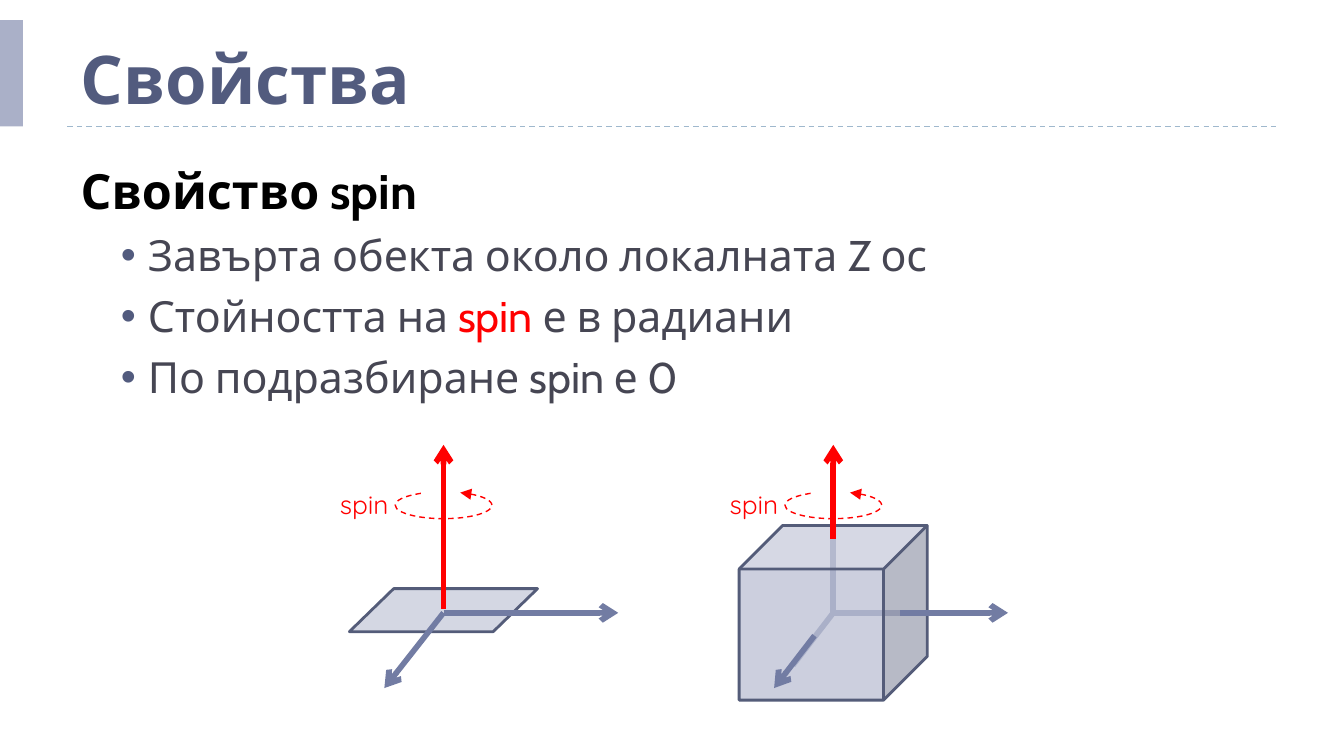
"""Build the slide that explains the spin property with two axis figures."""
from dataclasses import dataclass
from typing import Any, NamedTuple, Optional

import pptx
import pptx.dml.color
import pptx.enum.dml
import pptx.enum.shapes
import pptx.enum.text
import pptx.oxml.ns
import pptx.util
from lxml import etree

Inches = pptx.util.Inches
Shapes = pptx.enum.shapes.MSO_SHAPE
DASH = pptx.enum.dml.MSO_LINE.DASH


@dataclass(frozen=True)
class Theme:
    """Colours, fonts and type sizes of the slide."""

    title: str = "525B7E"
    heading: str = "000000"
    body: str = "464653"
    accent: str = "FF0000"
    axis: str = "727CA3"
    pale: str = "AAB0C8"
    outline: str = "545C79"
    rule: str = "9FB8CD"
    text_font: str = "Cabin"
    label_font: str = "Quicksand"
    title_size: float = 36
    heading_size: float = 26
    body_size: float = 23
    label_size: float = 14
    axis_width: float = 3
    outline_width: float = 1.5
    thin_width: float = 0.75


THEME = Theme()


class Point(NamedTuple):
    """A place on the slide, or an offset, in inches."""

    x: float
    y: float

    def plus(self, other: "Point") -> "Point":
        """Return this point moved by an offset."""
        return Point(self.x + other.x, self.y + other.y)


class Box(NamedTuple):
    """A rectangle in inches."""

    left: float
    top: float
    width: float
    height: float

    def lengths(self) -> list:
        """Return the four values as lengths."""
        return [Inches(value) for value in self]


class Axis(NamedTuple):
    """An arrow given by offsets from the figure's origin."""

    start: Point
    end: Point
    color: str


class Figure(NamedTuple):
    """A solid with hidden axis parts behind it and arrows before it."""

    origin: Point
    kind: Any
    box: Box
    fill: str
    opacity: int
    adjustment: Optional[float]
    hidden: list
    axes: list


class Run(NamedTuple):
    """A piece of body text and its colour."""

    text: str
    color: str = THEME.body


CENTRE = Point(0, 0)
X_END, Y_END, Z_END = Point(1.3, 0), Point(-0.44, 0.56), Point(0, -1.25)

FIGURES = [
    Figure(
        Point(3.3, 4.56), Shapes.PARALLELOGRAM, Box(2.6, 4.38, 1.4, 0.32), THEME.axis, 30, 1.03, [],
        [
            Axis(CENTRE, X_END, THEME.axis),
            Axis(CENTRE, Y_END, THEME.axis),
            Axis(Point(0, -0.03), Z_END, THEME.accent),
        ],
    ),
    Figure(
        Point(6.2, 4.56), Shapes.CUBE, Box(5.5, 3.91, 1.4, 1.3), THEME.pale, 60, None,
        [
            Axis(CENTRE, Point(0, -0.69), THEME.pale),
            Axis(CENTRE, Point(0.5, 0), THEME.pale),
            Axis(Point(-0.3, 0.39), CENTRE, THEME.pale),
        ],
        [
            Axis(Point(0.5, 0), X_END, THEME.axis),
            Axis(Point(-0.14, 0.17), Y_END, THEME.axis),
            Axis(Point(0, -0.55), Z_END, THEME.accent),
        ],
    ),
]

BULLETS = [
    [Run("Завърта обекта около локалната Z ос")],
    [Run("Стойността на "), Run("spin", THEME.accent), Run(" е в радиани")],
    [Run("По подразбиране spin е 0")],
]


def rgb(color: str) -> pptx.dml.color.RGBColor:
    """Turn a hex string into a colour."""
    return pptx.dml.color.RGBColor.from_string(color)


def apply(target: Any, values: dict) -> None:
    """Set each named attribute on the target."""
    for name, value in values.items():
        setattr(target, name, value)


def add_element(parent: Any, tag: str, **attributes: str) -> Any:
    """Append a DrawingML element to a parent."""
    element = etree.SubElement(parent, pptx.oxml.ns.qn(tag))
    for name, value in attributes.items():
        element.set(name, value)
    return element


def set_line(shape: Any, color: str, width: float, dash: Any = None, head: str = "") -> None:
    """Give a shape or connector its line and arrowhead."""
    shape.line.color.rgb = rgb(color)
    apply(shape.line, {"width": pptx.util.Pt(width), "dash_style": dash})
    if head:
        add_element(shape.line._get_or_add_ln(), "a:tailEnd", type=head)


def add_run(paragraph: Any, run: Run, font: str, size: float, bold: bool = False) -> None:
    """Add formatted text to a paragraph."""
    text_run = paragraph.add_run()
    text_run.text = run.text
    apply(text_run.font, {"name": font, "size": pptx.util.Pt(size), "bold": bold})
    text_run.font.color.rgb = rgb(run.color)


def add_line(slide: Any, start: Point, end: Point, color: str, width: float, **style: Any) -> None:
    """Draw a straight connector without a shadow."""
    ends = [Inches(value) for value in (*start, *end)]
    connector = slide.shapes.add_connector(pptx.enum.shapes.MSO_CONNECTOR.STRAIGHT, *ends)
    set_line(connector, color, width, **style)
    add_element(connector._element.spPr, "a:effectLst")


def add_solid(slide: Any, kind: Any, box: Box, fill: str, opacity: int = 100) -> Any:
    """Draw a filled preset shape without a line."""
    shape = slide.shapes.add_shape(kind, *box.lengths())
    shape.shadow.inherit = False
    shape.fill.solid()
    shape.fill.fore_color.rgb = rgb(fill)
    shape.line.fill.background()
    if opacity < 100:
        color = shape._element.spPr.find(".//" + pptx.oxml.ns.qn("a:srgbClr"))
        add_element(color, "a:alpha", val=str(opacity * 1000))
    return shape


def add_spin_mark(slide: Any, origin: Point) -> None:
    """Draw the dashed turning arrow and its label."""
    arc_box = Box(*origin.plus(Point(-0.36, -0.9)), 0.72, 0.2)
    arc = slide.shapes.add_shape(Shapes.ARC, *arc_box.lengths())
    arc.shadow.inherit = False
    arc.fill.background()
    arc.adjustments[0], arc.adjustments[1] = 91.4, 22.23
    arc._element.spPr.xfrm.set("flipV", "1")
    set_line(arc, THEME.accent, THEME.thin_width, DASH, "triangle")
    label_box = Box(*origin.plus(Point(-0.87, -1.01)), 0.9, 0.4)
    frame = slide.shapes.add_textbox(*label_box.lengths()).text_frame
    apply(frame, {"word_wrap": True, "vertical_anchor": pptx.enum.text.MSO_ANCHOR.MIDDLE})
    add_run(frame.paragraphs[0], Run("spin", THEME.accent), THEME.label_font, THEME.label_size)


def add_figure(slide: Any, figure: Figure) -> None:
    """Draw a solid, its axes and its spin mark."""
    def draw(axes: list, head: str) -> None:
        """Draw the axes from the figure's origin."""
        for axis in axes:
            add_line(slide, figure.origin.plus(axis.start), figure.origin.plus(axis.end),
                     axis.color, THEME.axis_width, head=head)

    draw(figure.hidden, "")
    solid = add_solid(slide, figure.kind, figure.box, figure.fill, figure.opacity)
    if figure.adjustment is not None:
        solid.adjustments[0] = figure.adjustment
    set_line(solid, THEME.outline, THEME.outline_width)
    draw(figure.axes, "arrow")
    add_spin_mark(slide, figure.origin)


def place(placeholder: Any, box: Box, anchor: Any) -> Any:
    """Move a placeholder and return its text frame."""
    apply(placeholder, dict(zip(("left", "top", "width", "height"), box.lengths())))
    frame = placeholder.text_frame
    apply(frame, {"auto_size": pptx.enum.text.MSO_AUTO_SIZE.NONE, "word_wrap": True,
                  "vertical_anchor": anchor})
    return frame


def format_paragraph(paragraph: Any, level: int, before: float, margin: float, indent: float) -> Any:
    """Set a body paragraph's level and spacing and return its properties."""
    apply(paragraph, {"level": level, "alignment": pptx.enum.text.PP_ALIGN.LEFT,
                      "space_before": pptx.util.Pt(before)})
    properties = paragraph._p.get_or_add_pPr()
    properties.set("marL", str(Inches(margin)))
    properties.set("indent", str(Inches(indent)))
    return properties


def add_texts(slide: Any) -> None:
    """Fill the title and the bulleted body."""
    anchors = pptx.enum.text.MSO_ANCHOR
    title = place(slide.shapes.title, Box(0.5, 0.12, 9.33, 0.81), anchors.BOTTOM).paragraphs[0]
    title.alignment = pptx.enum.text.PP_ALIGN.LEFT
    add_run(title, Run("Свойства", THEME.title), THEME.text_font, THEME.title_size, True)
    frame = place(slide.placeholders[1], Box(0.5, 1.15, 9.33, 4.42), anchors.TOP)
    heading = frame.paragraphs[0]
    add_element(format_paragraph(heading, 0, 0, 0, 0), "a:buNone")
    add_run(heading, Run("Свойство spin", THEME.heading), THEME.text_font, THEME.heading_size, True)
    for runs in BULLETS:
        paragraph = frame.add_paragraph()
        properties = format_paragraph(paragraph, 1, 5, 0.5, -0.2)
        add_element(add_element(properties, "a:buClr"), "a:srgbClr", val=THEME.title)
        add_element(properties, "a:buChar", char="•")
        for run in runs:
            add_run(paragraph, run, THEME.text_font, THEME.body_size)


def main() -> None:
    """Create and save the presentation."""
    presentation = pptx.Presentation()
    apply(presentation, {"slide_width": Inches(10), "slide_height": Inches(10 * 9 / 16)})
    slide = presentation.slides.add_slide(presentation.slide_layouts[1])
    add_line(slide, Point(0.5, 0.94), Point(9.5, 0.94), THEME.rule, THEME.thin_width, dash=DASH)
    add_solid(slide, Shapes.RECTANGLE, Box(0, 0.15, 0.17, 0.79), THEME.pale)
    add_texts(slide)
    for figure in FIGURES:
        add_figure(slide, figure)
    presentation.save("out.pptx")


if __name__ == "__main__":
    main()
